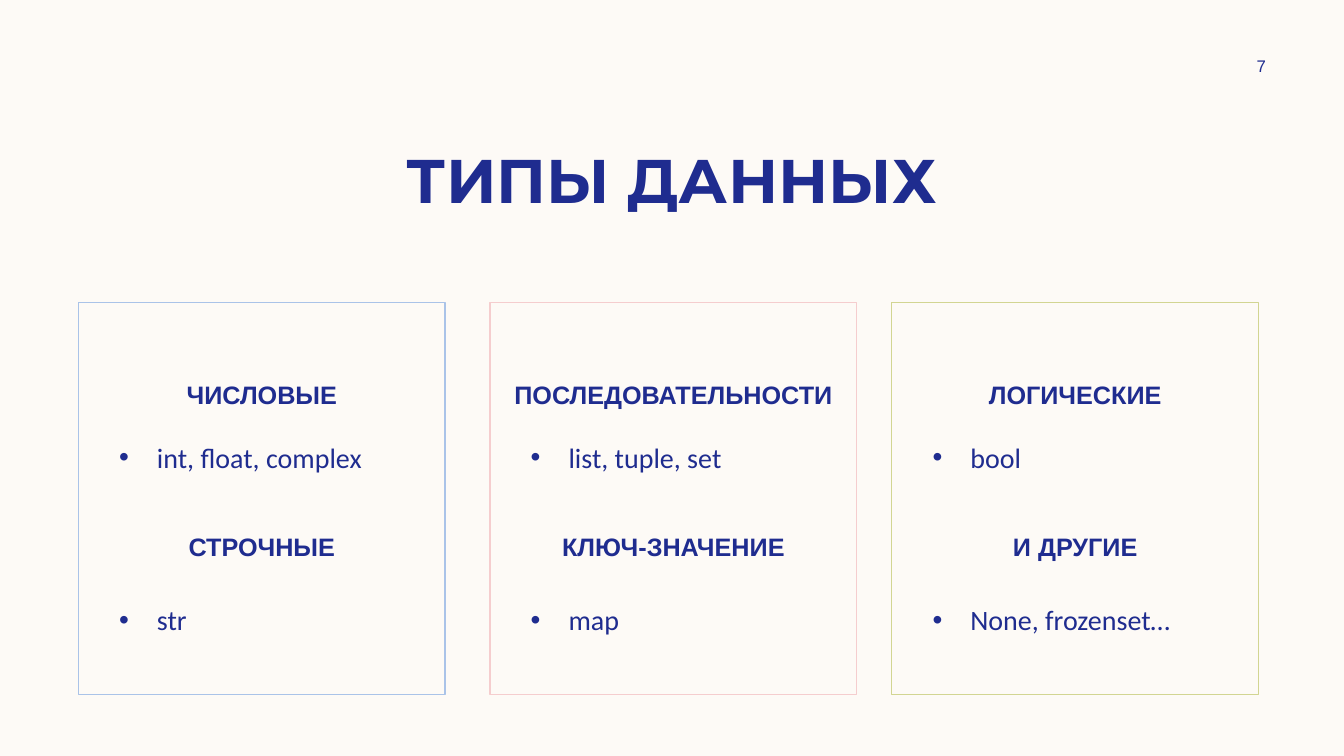
from lxml.etree import SubElement
from pptx import Presentation
from pptx.dml.color import RGBColor
from pptx.enum.shapes import MSO_SHAPE as Preset
from pptx.enum.text import MSO_ANCHOR as Anchor, PP_ALIGN as Align
from pptx.oxml.ns import qn
from pptx.util import Pt


def color(value):
    return RGBColor.from_string(value)


class SlideBuilder:
    ink = "1F2C8F"
    paper = "FDFAF6"

    def __init__(self, deck):
        self.page = deck.slides.add_slide(deck.slide_layouts[6])
        fill = self.page.background.fill
        fill.solid()
        fill.fore_color.rgb = color(self.paper)

    def style(self, para, font, size, bold=False, align=Align.CENTER):
        para.alignment = align
        for span in para.runs:
            span.font.name = font
            span.font.size = Pt(size)
            span.font.bold = bold
            span.font.color.rgb = color(self.ink)

    def text(self, content, left, top, width, height, anchor=Anchor.TOP):
        box = self.page.shapes.add_textbox(Pt(left), Pt(top), Pt(width), Pt(height))
        frame = box.text_frame
        frame.word_wrap = True
        frame.vertical_anchor = anchor
        frame.text = content
        return frame.paragraphs[0]

    def card(self, headings, left, top, width, height, outline):
        box = self.page.shapes.add_shape(
            Preset.RECTANGLE, Pt(left), Pt(top), Pt(width), Pt(height))
        box.shadow.inherit = False
        box.fill.background()
        box.line.color.rgb = color(outline)
        box.line.width = Pt(1)
        frame = box.text_frame
        frame.word_wrap = True
        frame.vertical_anchor = Anchor.TOP
        frame.margin_top = Pt(55)
        frame.text = "\n".join(headings)
        for para in frame.paragraphs:
            self.style(para, "Arial", 18, bold=True)
        frame.paragraphs[1].space_before = Pt(87)

    def bullet(self, content, left, top, width, height):
        para = self.text(content, left, top, width, height)
        props = para._p.get_or_add_pPr()
        props.set("marL", str(Pt(27)))
        props.set("indent", str(Pt(-27)))
        SubElement(props, qn("a:buFont"), typeface="Arial")
        SubElement(props, qn("a:buChar"), char="•")
        self.style(para, "Calibri", 20, align=Align.LEFT)


def main():
    deck = Presentation()
    deck.slide_width, deck.slide_height = Pt(960), Pt(540)
    slide = SlideBuilder(deck)

    # Title and page number
    title = slide.text("ТИПЫ ДАННЫХ", 60, 97.5, 840, 60)
    slide.style(title, "Montserrat", 44, bold=True)
    number = slide.text("7", 862, 36, 78, 22, Anchor.MIDDLE)
    slide.style(number, "Arial", 12)

    # Cards: left edge, outline, heading and examples of each type
    cards = [
        (56, "AAC3E8", {"ЧИСЛОВЫЕ": "int, float, complex", "СТРОЧНЫЕ": "str"}),
        (350, "F5CDCE", {"ПОСЛЕДОВАТЕЛЬНОСТИ": "list, tuple, set",
                         "КЛЮЧ-ЗНАЧЕНИЕ": "map"}),
        (637, "D2D592", {"ЛОГИЧЕСКИЕ": "bool", "И ДРУГИЕ": "None, frozenset…"}),
    ]
    for left, outline, types in cards:
        slide.card(types, left, 216, 262, 280, outline)
        for top, examples in zip((311, 427), types.values()):
            slide.bullet(examples, left + 22, top, 218, 30)

    deck.save("out.pptx")


if __name__ == "__main__":
    main()
